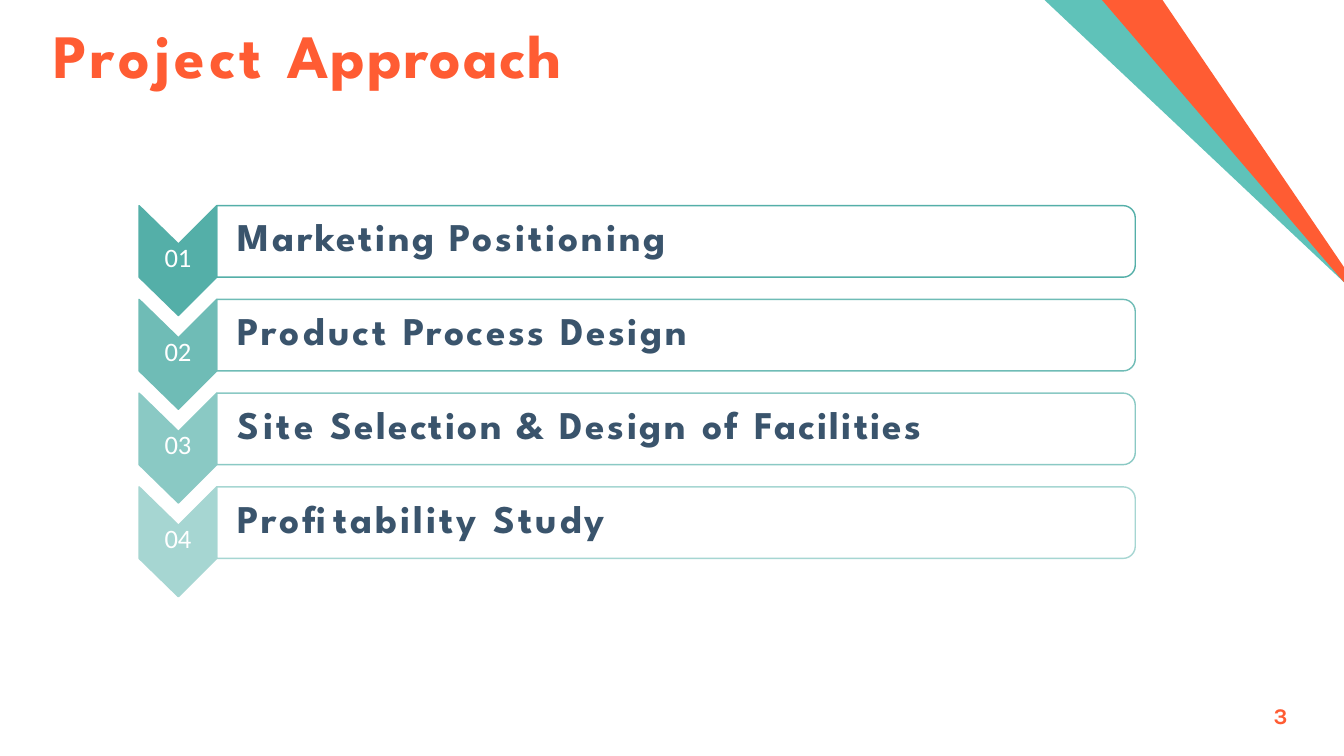
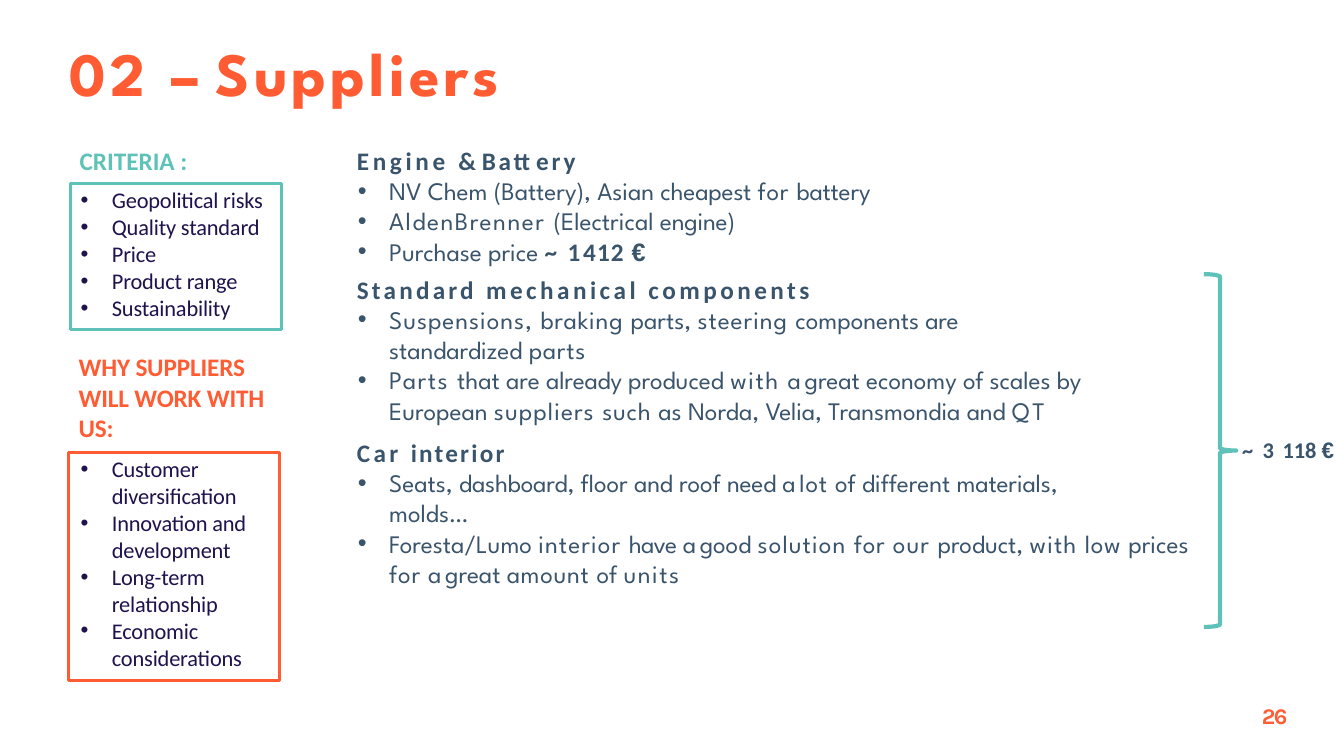
from collections import namedtuple
from dataclasses import dataclass
from math import cos, pi, sin

from lxml import etree
from pptx import Presentation
from pptx.dml.color import RGBColor
from pptx.enum.shapes import MSO_SHAPE
from pptx.enum.text import MSO_ANCHOR, PP_ALIGN
from pptx.oxml.ns import qn
from pptx.util import Inches, Pt

LEFT, CENTER, RIGHT = PP_ALIGN.LEFT, PP_ALIGN.CENTER, PP_ALIGN.RIGHT
TOP = MSO_ANCHOR.TOP
RECTANGLE, RIGHT_BRACE = MSO_SHAPE.RECTANGLE, MSO_SHAPE.RIGHT_BRACE
BLANK_LAYOUT = 6
BREAK = "\n"

Style = namedtuple("Style", "font size color bold")
Paragraph = namedtuple("Paragraph", "runs style bullet before", defaults=(False, 0))


@dataclass(frozen=True)
class Theme:
    orange: str = "FF5C33"
    teal: str = "5FC2B9"
    steps: tuple = ("54AFA8", "6FBCB6", "8AC9C4", "A6D6D2")
    title: Style = Style("League Spartan", 44, "FF5C33", True)
    step: Style = Style("League Spartan", 28, "3A546C", True)
    step_number: Style = Style("Calibri", 19, "FFFFFF", False)
    heading: Style = Style("Calibri", 18, "3A546C", True)
    body: Style = Style("League Spartan", 18, "3A546C", False)
    criteria_heading: Style = Style("Calibri", 18, "5FC2B9", True)
    reasons_heading: Style = Style("Calibri", 18, "FF5C33", True)
    item: Style = Style("Calibri", 16, "1F124D", False)
    price: Style = Style("Calibri", 16, "3A546C", True)
    page: Style = Style("Karla", 16, "FF5C33", True)
    symbol_font: str = "Arial"


THEME = Theme()


def set_font(font, style):
    font.name = style.font
    font.size = Pt(style.size)
    font.bold = style.bold
    font.color.rgb = RGBColor.from_string(style.color)


def set_bullet(paragraph, indent):
    properties = paragraph._p.get_or_add_pPr()
    properties.set("marL", str(Inches(indent)))
    properties.set("indent", str(-Inches(0.31)))
    etree.SubElement(properties, qn("a:buFont")).set("typeface", THEME.symbol_font)
    etree.SubElement(properties, qn("a:buChar")).set("char", "•")


class Deck:
    def __init__(self):
        self.presentation = Presentation()
        self.presentation.slide_width = Inches(13.33)
        self.presentation.slide_height = Inches(7.5)
        self.slide = None

    def start_slide(self, title_runs, left, top, page):
        layout = self.presentation.slide_layouts[BLANK_LAYOUT]
        self.slide = self.presentation.slides.add_slide(layout)
        self.text(left, top, 12, 0.76, [Paragraph(title_runs, THEME.title)])
        number = Paragraph([(page, -1)], THEME.page)
        self.text(12.27, 6.96, 0.5, 0.29, [number], align=RIGHT)

    def set_text(self, shape, paragraphs, insets=(0, 0.01), align=LEFT, indent=0.32):
        frame = shape.text_frame
        frame.word_wrap = True
        frame.vertical_anchor = TOP
        frame.margin_left, frame.margin_top = (Inches(inset) for inset in insets)
        frame.margin_right = frame.margin_bottom = 0
        for index, content in enumerate(paragraphs):
            paragraph = frame.add_paragraph() if index else frame.paragraphs[0]
            paragraph.alignment = align
            if content.before:
                paragraph.space_before = Pt(content.before)
            if content.bullet:
                set_bullet(paragraph, indent)
            set_font(paragraph.font, content.style)
            for part in content.runs:
                if part == BREAK:
                    paragraph.add_line_break()
                else:
                    self.add_run(paragraph, *part)

    def add_run(self, paragraph, text, spacing=0, style=None):
        run = paragraph.add_run()
        run.text = text
        if style:
            set_font(run.font, style)
        if spacing:
            run._r.get_or_add_rPr().set("spc", str(round(spacing * 100)))

    def text(self, left, top, width, height, paragraphs, **options):
        box = self.slide.shapes.add_textbox(
            Inches(left), Inches(top), Inches(width), Inches(height))
        self.set_text(box, paragraphs, **options)

    def paint(self, shape, fill=None, line=None, line_width=1):
        shape.shadow.inherit = False
        if fill:
            shape.fill.solid()
            shape.fill.fore_color.rgb = RGBColor.from_string(fill)
        else:
            shape.fill.background()
        if line:
            shape.line.color.rgb = RGBColor.from_string(line)
            shape.line.width = Pt(line_width)
        else:
            shape.line.fill.background()
        return shape

    def shape(self, kind, left, top, width, height, **look):
        shape = self.slide.shapes.add_shape(
            kind, Inches(left), Inches(top), Inches(width), Inches(height))
        return self.paint(shape, **look)

    def polygon(self, points, **look):
        corners = [(Inches(x), Inches(y)) for x, y in points]
        builder = self.slide.shapes.build_freeform(*corners[0], scale=1.0)
        builder.add_line_segments(corners[1:], close=True)
        return self.paint(builder.convert_to_shape(), **look)

    def step(self, top, color, number, label_runs):
        left, middle, right, end = 1.38, 1.77, 2.15, 11.26
        height, notch, radius = 0.71, 0.38, 0.12
        bottom = top + height
        chevron = self.polygon(
            [(left, top), (middle, top + notch), (right, top),
             (right, bottom), (middle, bottom + notch), (left, bottom)],
            fill=color, line=color)
        self.set_text(chevron, [Paragraph([(number, -0.2)], THEME.step_number)],
                      insets=(0, 0.35), align=CENTER)
        angles = [pi / 2 * index / 6 for index in range(7)]
        upper = [(end - radius + radius * sin(angle), top + radius - radius * cos(angle))
                 for angle in angles]
        lower = [(x, top + bottom - y) for x, y in reversed(upper)]
        bar = self.polygon([(right, top), *upper, *lower, (right, bottom)], line=color)
        self.set_text(bar, [Paragraph(label_runs, THEME.step)], insets=(0.21, 0.07))

    def framed_list(self, left, top, height, color, items, indent):
        frame = self.shape(RECTANGLE, left, top, 2.09, height, line=color, line_width=2.25)
        paragraphs = [Paragraph([(item, -0.1)], THEME.item, True) for item in items]
        self.set_text(frame, paragraphs, insets=(0, 0.03), indent=indent)


def heading(*runs, before=0):
    return Paragraph(runs, THEME.heading, False, before)


def bullet(*runs):
    return Paragraph(runs, THEME.body, True)


def euro(style):
    return "€", -0.5, style._replace(font=THEME.symbol_font)


def build_approach(deck):
    deck.start_slide([("Project ", 3), ("Approach", 1.4)], 0.53, 0.16, "3")
    labels = [
        [("Marketing ", 1.8), ("Positioning", 2.1)],
        [("Product ", 2.2), ("Process Design", 1.9)],
        [("Site ", 2.4), ("Selection ", 1.6), ("& Design ", 1.9), ("of ", 2),
         ("Facilities", 1.6)],
        [("Profitability Study", 2.2)],
    ]
    for index, (color, label) in enumerate(zip(THEME.steps, labels)):
        deck.step(2.04 + 0.93 * index, color, f"{index + 1:02}", label)
    ribbons = [(10.36, 11.03, 2.72, THEME.teal), (10.93, 11.53, 2.65, THEME.orange)]
    for start, end, edge, color in ribbons:
        deck.polygon([(end, 0), (start, 0), (13.33, 2.8), (13.33, edge)], fill=color)


def build_suppliers(deck):
    deck.start_slide([("02 ", 3.4), ("– ",), ("Suppliers", 3)], 0.69, 0.34, "26")
    deck.text(0.79, 1.43, 1.3, 0.33,
              [Paragraph([("CRITERIA :",)], THEME.criteria_heading)])
    deck.framed_list(0.7, 1.82, 1.45, THEME.teal,
                     ["Geopolitical risks", "Quality standard", "Price",
                      "Product range", "Sustainability"], 0.41)
    deck.text(0.78, 3.48, 1.89, 0.93,
              [Paragraph([("WHY SUPPLIERS WILL WORK WITH US:", -0.1)],
                         THEME.reasons_heading)])
    deck.framed_list(0.68, 4.49, 2.26, THEME.orange,
                     ["Customer diversification", "Innovation and development",
                      "Long-term relationship", "Economic considerations"], 0.43)
    strong = THEME.heading
    deck.text(3.54, 1.43, 8.34, 4.73, [
        heading(("Engine ", 2.6), ("& ",), ("Battery", 2)),
        bullet(("NV Chem (Battery), Asian ",), ("cheapest ", -0.1), ("for ", 0.6),
               ("battery", -0.1)),
        bullet(("AldenBrenner ", 1.1), ("(Electrical ",), ("engine)", -0.1)),
        bullet(("Purchase price ",), ("~ ", 1.7, strong), ("1 ", -2.1, strong),
               ("412 ", 0.8, strong), euro(strong)),
        heading(("Standard ", 2.3), ("mechanical components", 2.5), before=5.6),
        bullet(("Suspensions, ", 0.7), ("braking ", 0.6), ("parts, ",),
               ("steering ", 0.7), ("components ",), ("are", -0.2), BREAK,
               ("standardized ",), ("parts", 0.5)),
        bullet(("Parts ", 1.1), ("that are ",), ("already ", -0.1), ("produced ",),
               ("with ", 1.1), ("a ", -1.8), ("great economy ",), ("of ", -0.2),
               ("scales by",), BREAK, ("European ",), ("suppliers ", 0.8),
               ("such ", 0.5), ("as Norda, ",), ("Velia, ", -0.1),
               ("Transmondia ",), ("and ", -0.1), ("QT", 2.6)),
        heading(("Car ", 2.4), ("interior", 1.6), before=8.6),
        bullet(("Seats, ",), ("dashboard, ", -0.1), ("floor ",), ("and ", -0.1),
               ("roof ",), ("need ", -0.1), ("a ", -1.8), ("lot ", 0.6),
               ("of different ",), ("materials,", -0.1), BREAK, ("molds…",)),
        bullet(("Foresta/Lumo ",), ("interior ", 0.8), ("have ", -0.5), ("a ", -1.8),
               ("good ",), ("solution ", 0.8), ("for ", 0.6), ("our ", 0.8),
               ("product, ",), ("with ", 0.8), ("low ", 0.5), ("prices",), BREAK,
               ("for ", 0.6), ("a ", -1.8), ("great ",), ("amount ", 0.5),
               ("of ",), ("units", 1.1)),
    ])
    deck.shape(RIGHT_BRACE, 11.94, 2.72, 0.32, 3.5, line=THEME.teal, line_width=3)
    deck.text(12.32, 4.32, 0.98, 0.29,
              [Paragraph([("~ ", 1.5), ("3 ", 1.3), ("118 ",), euro(THEME.price)],
                         THEME.price)])


def main():
    deck = Deck()
    build_approach(deck)
    build_suppliers(deck)
    deck.presentation.save("out.pptx")


if __name__ == "__main__":
    main()
